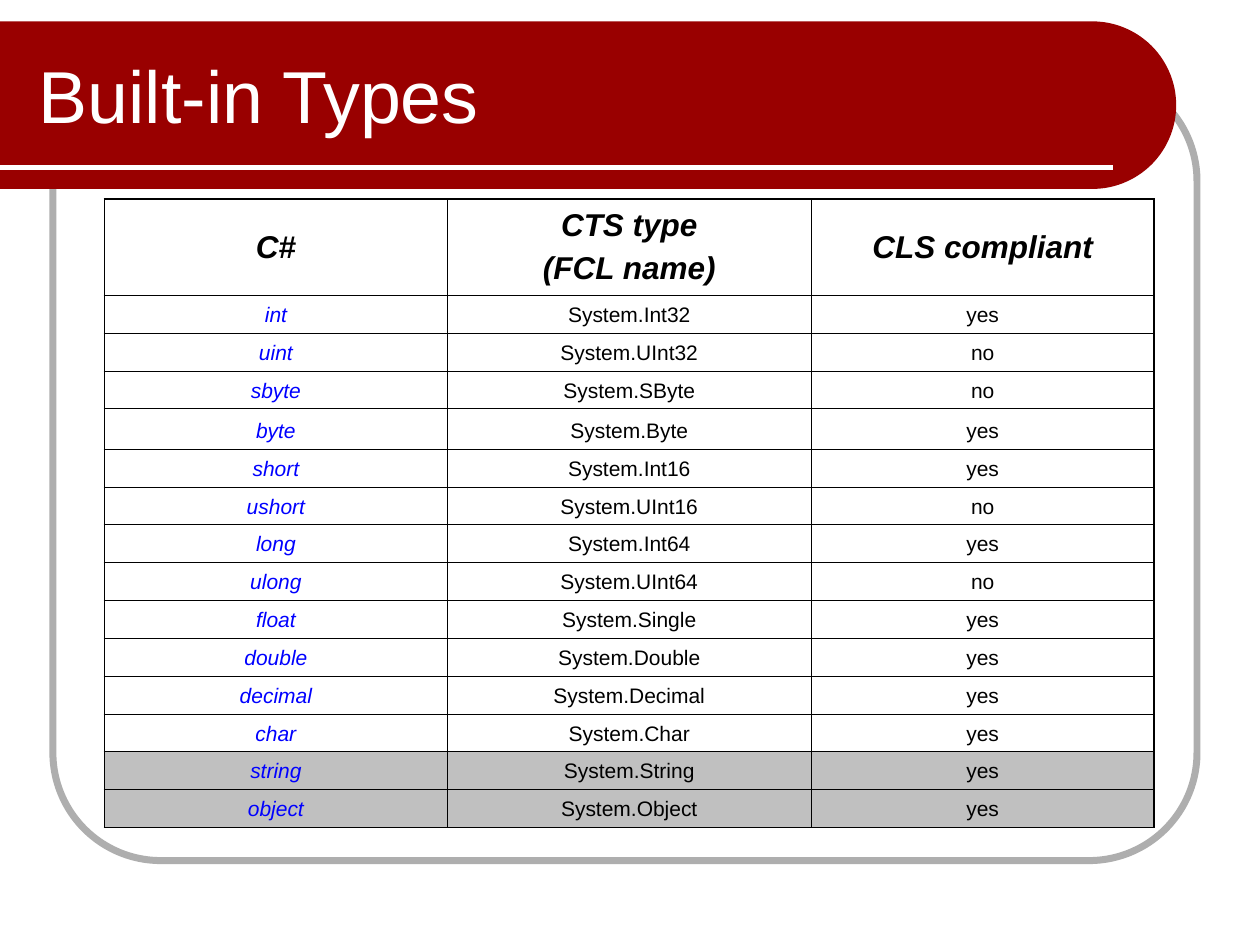
import math

from lxml import etree
from pptx import Presentation
from pptx import util as u
from pptx.dml.color import RGBColor
from pptx.enum import shapes, text
from pptx.oxml.ns import qn

COLORS = {name: RGBColor.from_string(value) for name, value in {
    "band": "990000", "frame": "AEAEAE", "white": "FFFFFF",
    "black": "000000", "keyword": "0000FF", "reference": "C0C0C0",
}.items()}
FONT = "Arial"
THIN, THICK = u.Pt(0.45), u.Pt(1.08)

HEADERS = ["C#", "CTS type\n(FCL name)", "CLS compliant"]
TYPES = [
    ("int", "Int32", "yes"),
    ("uint", "UInt32", "no"),
    ("sbyte", "SByte", "no"),
    ("byte", "Byte", "yes"),
    ("short", "Int16", "yes"),
    ("ushort", "UInt16", "no"),
    ("long", "Int64", "yes"),
    ("ulong", "UInt64", "no"),
    ("float", "Single", "yes"),
    ("double", "Double", "yes"),
    ("decimal", "Decimal", "yes"),
    ("char", "Char", "yes"),
    ("string", "String", "yes"),
    ("object", "Object", "yes"),
]
REFERENCE_TYPES = {"string", "object"}


def add_border(cell, side, width):
    """Draw one black border; side is L, R, T or B, in that order."""
    line = etree.SubElement(cell._tc.get_or_add_tcPr(), qn(f"a:ln{side}"), w=str(width))
    fill = etree.SubElement(line, qn("a:solidFill"))
    etree.SubElement(fill, qn("a:srgbClr"), val=str(COLORS["black"]))


presentation = Presentation()
presentation.slide_width = u.Inches(10)
presentation.slide_height = u.Inches(7.5)
slide = presentation.slides.add_slide(presentation.slide_layouts[6])

# Rounded frame behind the content
frame = slide.shapes.add_shape(
    shapes.MSO_SHAPE.ROUNDED_RECTANGLE,
    u.Inches(0.42), u.Inches(0.58), u.Inches(9.08), u.Inches(6.25))
frame.adjustments[0] = 0.137
frame.shadow.inherit = False
frame.fill.background()
frame.line.color.rgb = COLORS["frame"]
frame.line.width = u.Pt(4)

# Title band with a semicircular right end
top, bottom, arc_x = 0.17, 1.5, 8.67
radius = (bottom - top) / 2
arc = [(u.Inches(arc_x + radius * math.cos(math.radians(angle))),
        u.Inches(top + radius + radius * math.sin(math.radians(angle))))
       for angle in range(-90, 91, 3)]
builder = slide.shapes.build_freeform(0, u.Inches(top))
builder.add_line_segments(arc + [(0, u.Inches(bottom))], close=True)
band = builder.convert_to_shape()
band.shadow.inherit = False
band.fill.solid()
band.fill.fore_color.rgb = COLORS["band"]
band.line.fill.background()

underline = slide.shapes.add_connector(
    shapes.MSO_CONNECTOR.STRAIGHT, 0, u.Inches(1.33), u.Inches(8.83), u.Inches(1.33))
underline.line.color.rgb = COLORS["white"]
underline.line.width = u.Pt(3)
etree.SubElement(underline._element.spPr, qn("a:effectLst"))

title = slide.shapes.add_textbox(
    u.Inches(0.21), u.Inches(0.25), u.Inches(7.79), u.Inches(1))
title.text_frame.word_wrap = True
title.text_frame.vertical_anchor = text.MSO_ANCHOR.MIDDLE
paragraph = title.text_frame.paragraphs[0]
paragraph.text = "Built-in Types"
paragraph.font.name = FONT
paragraph.font.size = u.Pt(42)
paragraph.font.color.rgb = COLORS["white"]

# Table of types
rows = [HEADERS] + [(keyword, f"System.{name}", compliant)
                    for keyword, name, compliant in TYPES]
last_row, last_column = len(rows) - 1, len(HEADERS) - 1
table = slide.shapes.add_table(
    len(rows), len(HEADERS),
    u.Inches(0.83), u.Inches(1.58), u.Inches(8.33), u.Inches(4.98)).table
table.first_row = False
table.horz_banding = False
for column, width in zip(table.columns, (2.72, 2.89, 2.72)):
    column.width = u.Inches(width)

for r, row in enumerate(rows):
    is_header = r == 0
    table.rows[r].height = u.Inches(0.76 if is_header else 0.32 if row[0] == "byte" else 0.3)
    for c, value in enumerate(row):
        cell = table.cell(r, c)
        is_outer = {"L": c == 0, "R": c == last_column, "T": r == 0, "B": r == last_row}
        for side, outer in is_outer.items():
            add_border(cell, side, THICK if outer else THIN)
        if row[0] in REFERENCE_TYPES:
            cell.fill.solid()
            cell.fill.fore_color.rgb = COLORS["reference"]
        else:
            cell.fill.background()
        cell.vertical_anchor = text.MSO_ANCHOR.MIDDLE if is_header else text.MSO_ANCHOR.BOTTOM
        cell.text = value
        is_keyword = c == 0 and not is_header
        for index, paragraph in enumerate(cell.text_frame.paragraphs):
            paragraph.alignment = text.PP_ALIGN.CENTER
            if index:
                paragraph.space_before = u.Pt(4.5)
            paragraph.font.name = FONT
            paragraph.font.size = u.Pt(18 if is_header else 12)
            paragraph.font.bold = is_header
            paragraph.font.italic = is_header or is_keyword
            paragraph.font.color.rgb = COLORS["keyword" if is_keyword else "black"]

presentation.save("out.pptx")
